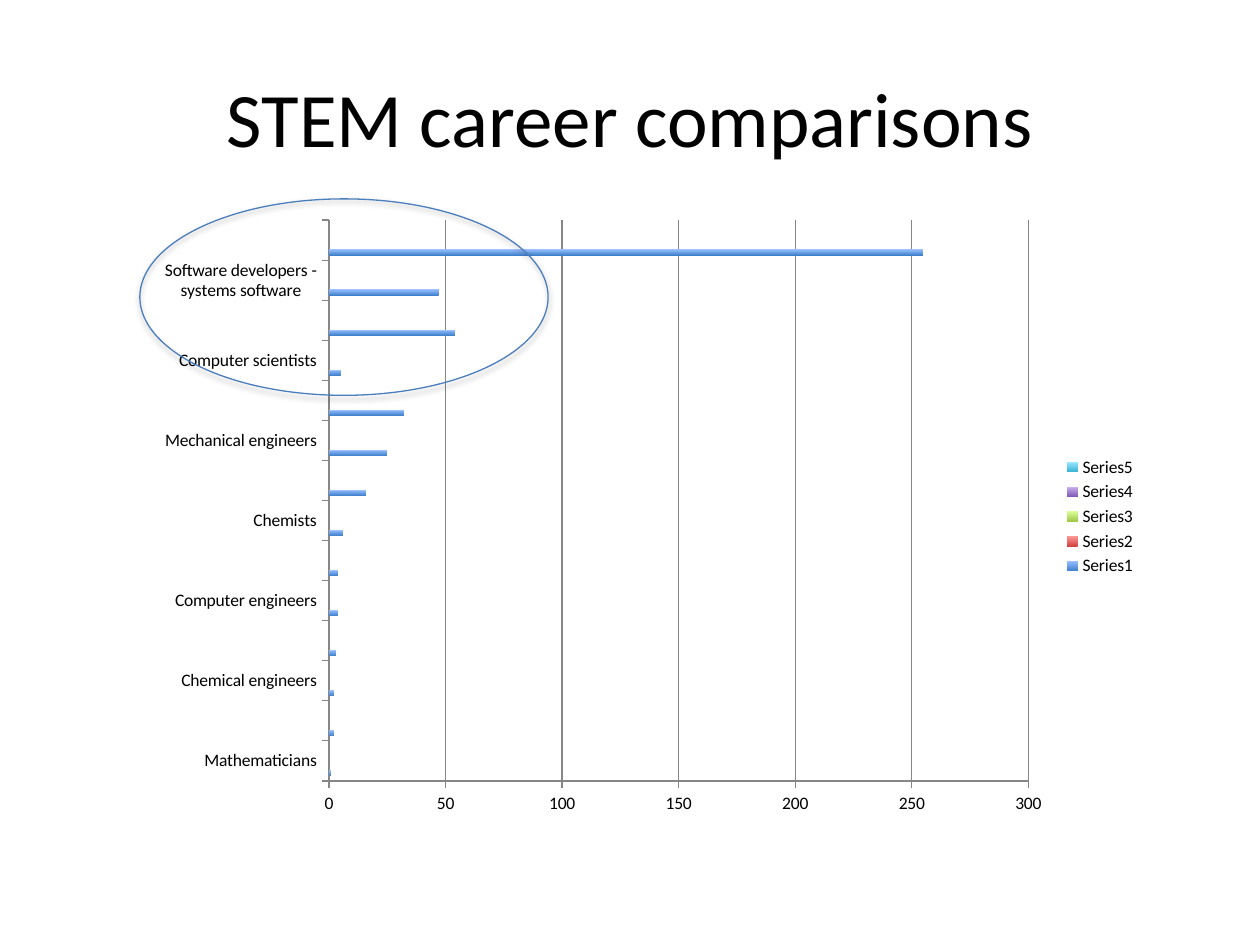
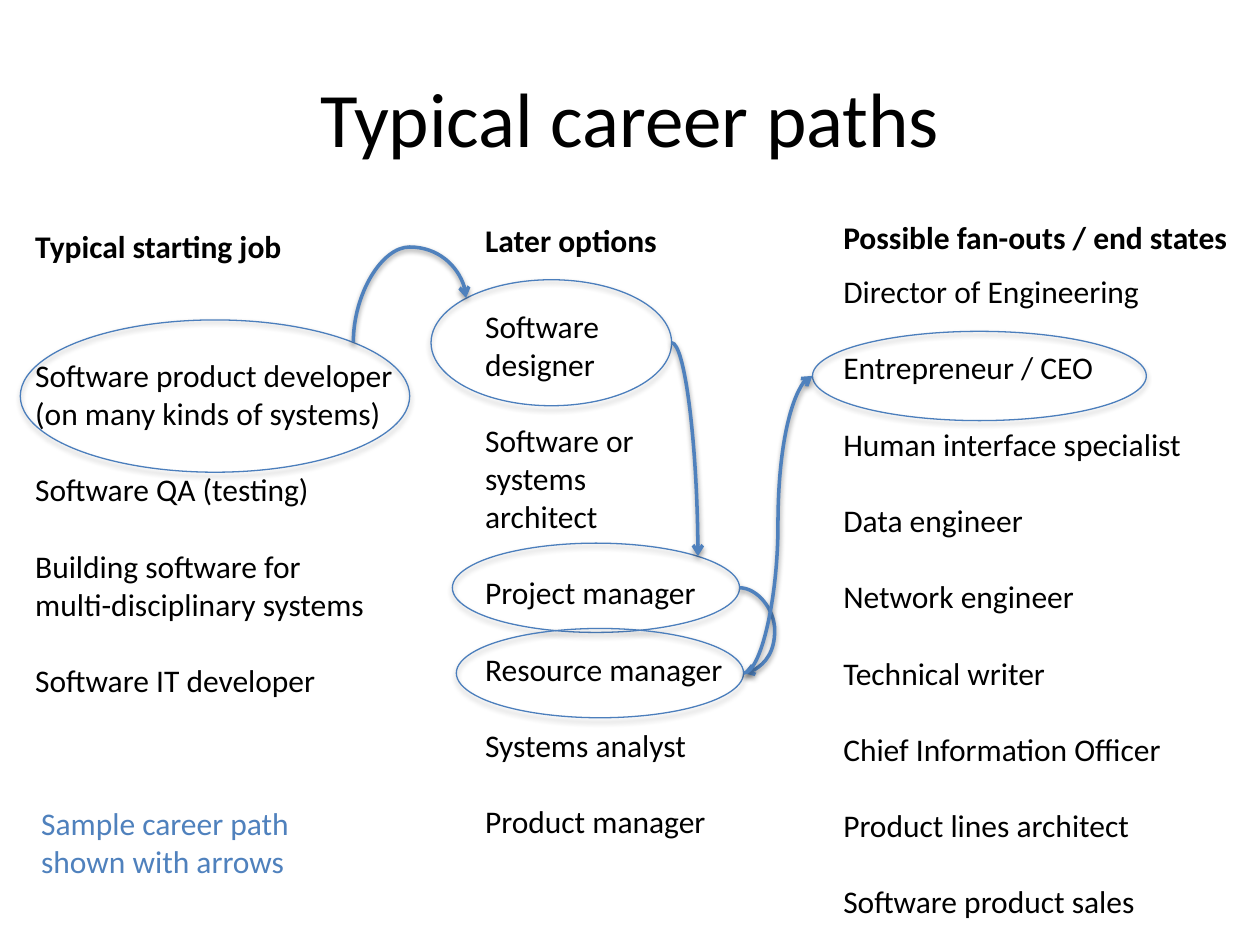
from lxml.etree import SubElement
from pptx import Presentation
from pptx.chart.data import CategoryChartData
from pptx.dml.color import RGBColor
from pptx.enum.chart import XL_CHART_TYPE, XL_LEGEND_POSITION, XL_TICK_MARK
from pptx.enum.shapes import MSO_CONNECTOR, MSO_SHAPE
from pptx.enum.text import MSO_ANCHOR, MSO_AUTO_SIZE, PP_ALIGN
from pptx.oxml.ns import qn
from pptx.util import Cm, Pt

FONT = "Calibri"
BLACK = RGBColor(0x00, 0x00, 0x00)
BLUE = RGBColor(0x4F, 0x81, 0xBD)
RIM = RGBColor(0x4B, 0x7E, 0xBC)
GREY = RGBColor(0x86, 0x86, 0x86)
# Dark and light end of the gradient of each series
TONES = [
    (RGBColor(0x3F, 0x80, 0xCD), RGBColor(0x9B, 0xC1, 0xFF)),
    (RGBColor(0xD0, 0x43, 0x40), RGBColor(0xFF, 0x9A, 0x99)),
    (RGBColor(0x9C, 0xC7, 0x46), RGBColor(0xDA, 0xFF, 0x9B)),
    (RGBColor(0x7E, 0x57, 0xB3), RGBColor(0xC9, 0xB0, 0xF0)),
    (RGBColor(0x36, 0xB1, 0xD2), RGBColor(0x9B, 0xE9, 0xFF)),
]

CAREERS = {
    "Mathematicians": 1,
    "Biomedical engineers": 2,
    "Chemical engineers": 2,
    "Physicists": 3,
    "Computer engineers": 4,
    "Environmental engineers": 4,
    "Chemists": 6,
    "Electrical engineers": 16,
    "Mechanical engineers": 25,
    "Civil engineers": 32,
    "Computer scientists": 5,
    "Computer systems analysts": 54,
    "Software developers - systems software": 47,
    "Software developers - applications": 255,
}

# Each job is a tuple of its lines
FIRST = [
    ("Software product developer", "(on many kinds of systems)"),
    ("Software QA (testing)",),
    ("Building software for", "multi-disciplinary systems"),
    ("Software IT developer",),
]
LATER = [
    ("Software", "designer"),
    ("Software or", "systems", "architect"),
    ("Project manager",),
    ("Resource manager",),
    ("Systems analyst",),
    ("Product manager",),
]
ENDS = [
    ("Director of Engineering",),
    ("Entrepreneur / CEO",),
    ("Human interface specialist",),
    ("Data engineer",),
    ("Network engineer",),
    ("Technical writer",),
    ("Chief Information Officer",),
    ("Product lines architect",),
    ("Software product sales",),
]

# Spots on an oval, in half widths and half heights from its centre
RIGHT, LEFT = (1, 0), (-1, 0)
UPPER_RIGHT, UPPER_LEFT = (0.71, -0.71), (-0.71, -0.71)


def style(font, size, color=BLACK, bold=False):
    font.name, font.size, font.bold = FONT, Pt(size), bold
    font.color.rgb = color


def add_slide(deck, text):
    """Add a slide with the shared title."""
    slide = deck.slides.add_slide(deck.slide_layouts[5])
    title = slide.shapes.title
    title.left, title.top, title.width, title.height = (
        Cm(1.27), Cm(0.76), Cm(22.86), Cm(3.18))
    frame = title.text_frame
    frame.text = text
    frame.vertical_anchor = MSO_ANCHOR.MIDDLE
    frame.paragraphs[0].alignment = PP_ALIGN.CENTER
    style(frame.paragraphs[0].runs[0].font, 44)
    return slide


def shade(shape, dist, alpha):
    """Give a shape a soft shadow straight below it."""
    effects = SubElement(shape._element.spPr, qn("a:effectLst"))
    shadow = SubElement(effects, qn("a:outerShdw"), blurRad="40000",
                        dist=str(dist), dir="5400000", rotWithShape="0")
    color = SubElement(shadow, qn("a:srgbClr"), val="000000")
    SubElement(color, qn("a:alpha"), val=str(alpha))


def add_oval(slide, *box):
    oval = slide.shapes.add_shape(MSO_SHAPE.OVAL, *map(Cm, box))
    oval.fill.background()
    oval.line.color.rgb = RIM
    oval.line.width = Pt(0.75)
    shade(oval, 23000, 35000)
    return oval


def spot(oval, side):
    across, down = side
    return (int(oval.left + oval.width * (1 + across) / 2),
            int(oval.top + oval.height * (1 + down) / 2))


def arrow(slide, start, end, kind="curvedConnector3", bend=0.5, arch=False):
    """Draw a curved arrow; an arch rises from start and falls to end."""
    line = slide.shapes.add_connector(MSO_CONNECTOR.CURVE, *start, *end)
    line.line.color.rgb = BLUE
    line.line.width = Pt(2)
    SubElement(line.line._get_or_add_ln(), qn("a:tailEnd"), type="arrow")
    shade(line, 20000, 38000)
    props = line._element.spPr
    shape = props.find(qn("a:prstGeom"))
    shape.set("prst", kind)
    if bend != 0.5:
        SubElement(shape.find(qn("a:avLst")), qn("a:gd"), name="adj1",
                   fmla=f"val {round(bend * 100000)}")
    if arch:
        wide, high = line.width, line.height
        line.left += (wide - high) // 2
        line.top += (high - wide) // 2
        line.width, line.height = high, wide
        turn = props.find(qn("a:xfrm"))
        turn.set("rot", "5400000")
        turn.set("flipH", "1")


def add_text(slide, left, top, width, jobs, color=BLACK, bold=False):
    """Write jobs one below the other, with a line's gap between them."""
    rows = sum(map(len, jobs)) + len(jobs) - 1
    box = slide.shapes.add_textbox(
        Cm(left), Cm(top), Cm(width), Cm(0.25 + 0.77 * rows))
    frame = box.text_frame
    frame.word_wrap = False
    frame.auto_size = MSO_AUTO_SIZE.SHAPE_TO_FIT_TEXT
    frame.text = "\n".join(line for job in jobs for line in job)
    for para in frame.paragraphs:
        style(para.runs[0].font, 18, color, bold)
    row = 0
    for job in jobs[:-1]:
        row += len(job)
        frame.paragraphs[row].space_before = Pt(22)


def add_column(slide, left, top, head, span, drop, width, jobs):
    """Place a heading, and its jobs the given drop below."""
    add_text(slide, left, top, span, [(head,)], bold=True)
    add_text(slide, left, top + drop, width, jobs)


def add_bars(slide, *box):
    data = CategoryChartData()
    data.categories = list(CAREERS)
    data.add_series("Series1", list(CAREERS.values()))
    for num in range(2, len(TONES) + 1):
        data.add_series(f"Series{num}", [None] * len(CAREERS))
    chart = slide.shapes.add_chart(
        XL_CHART_TYPE.BAR_CLUSTERED, *map(Cm, box), data).chart
    style(chart.font, 10)
    chart.has_title = False
    chart.has_legend = True
    chart.legend.position = XL_LEGEND_POSITION.RIGHT
    chart.legend.include_in_layout = False
    plot = chart.plots[0]
    plot.gap_width = 150
    plot.vary_by_categories = False
    for series, tones in zip(plot.series, TONES):
        fill = series.format.fill
        fill.gradient()
        fill.gradient_angle = 90
        for stop, tone in zip(fill.gradient_stops, tones):
            stop.color.rgb = tone
    for axis in (chart.category_axis, chart.value_axis):
        axis.major_tick_mark = XL_TICK_MARK.OUTSIDE
        axis.minor_tick_mark = XL_TICK_MARK.NONE
        axis.format.line.color.rgb = GREY
    chart.value_axis.has_major_gridlines = True
    chart.value_axis.major_gridlines.format.line.color.rgb = GREY


def compare(deck):
    slide = add_slide(deck, "STEM career comparisons")
    add_bars(slide, 2.92, 4.19, 20.24, 12.45)
    add_oval(slide, 2.82, 4.01, 8.23, 3.96)


def show_paths(deck):
    slide = add_slide(deck, "Typical career paths")
    add_column(slide, 0.46, 4.45, "Typical starting job", 5.56,
               2.61, 7.85, FIRST)
    add_column(slide, 9.53, 4.34, "Later options", 4.04,
               1.73, 5.38, LATER)
    add_column(slide, 16.75, 4.27, "Possible fan-outs / end states", 8.38,
               1.09, 7.42, ENDS)
    add_text(slide, 0.58, 16.08, 5.59,
             [("Sample career path", "shown with arrows")], BLUE)

    coder = add_oval(slide, 0.41, 6.45, 7.85, 3.07)
    artist = add_oval(slide, 8.69, 5.64, 4.85, 2.54)
    leader = add_oval(slide, 9.12, 10.95, 5.79, 1.8)
    keeper = add_oval(slide, 9.2, 12.67, 5.79, 1.8)
    founder = add_oval(slide, 16.38, 6.68, 6.73, 1.8)

    arrow(slide, spot(coder, UPPER_RIGHT), spot(artist, UPPER_LEFT),
          bend=2.16, arch=True)
    arrow(slide, spot(artist, RIGHT), spot(leader, UPPER_RIGHT),
          "curvedConnector2")
    arrow(slide, spot(leader, RIGHT), spot(keeper, RIGHT), bend=8.86)
    arrow(slide, spot(keeper, RIGHT), spot(founder, LEFT))


def main():
    deck = Presentation()
    deck.slide_width, deck.slide_height = Cm(25.4), Cm(19.05)
    compare(deck)
    show_paths(deck)
    deck.save("out.pptx")


if __name__ == "__main__":
    main()
